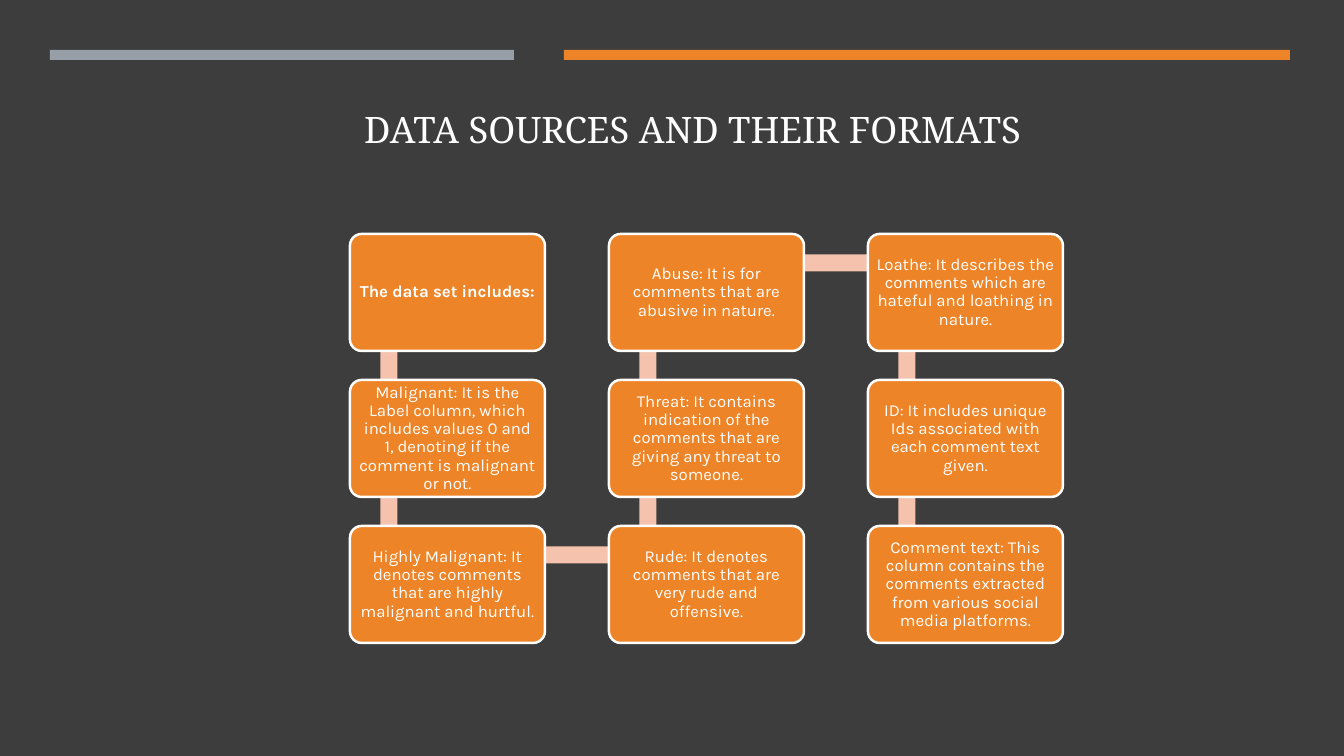
from pptx import Presentation
from pptx.dml.color import RGBColor
from pptx.enum.shapes import MSO_SHAPE
from pptx.enum.text import MSO_ANCHOR, PP_ALIGN
from pptx.util import Pt

TITLE = "DATA SOURCES AND THEIR FORMATS"
FIELDS = [
    "The data set includes:",
    "Malignant: It is the Label column, which includes values 0 and 1, denoting if the comment is malignant or not.",
    "Highly Malignant: It denotes comments that are highly malignant and hurtful.",
    "Rude: It denotes comments that are very rude and offensive.",
    "Threat: It contains indication of the comments that are giving any threat to someone.",
    "Abuse: It is for comments that are abusive in nature.",
    "Loathe: It describes the comments which are hateful and loathing in nature.",
    "ID: It includes unique Ids associated with each comment text given.",
    "Comment text: This column contains the comments extracted from various social media platforms.",
]

CHARCOAL = RGBColor(0x3D, 0x3D, 0x3D)
GREY = RGBColor(0x96, 0x9F, 0xA7)
ORANGE = RGBColor(0xED, 0x84, 0x28)
PEACH = RGBColor(0xF4, 0xC2, 0xAD)
WHITE = RGBColor(0xFF, 0xFF, 0xFF)

PX = 914400 / 100.8
HEADER_BARS = [((50, 50, 464, 10), GREY), ((564, 50, 726, 10), ORANGE)]
ROWS = 3
LEFT, TOP = 350, 234
PITCH_X, PITCH_Y = 259, 146
BOX_W, BOX_H = 195, 117
JOINT_X, JOINT_Y = 39, 29
LINK_W = 17
INSET = 5


def px(*lengths):
    return [round(length * PX) for length in lengths]


def add_block(slide, kind, frame, fill):
    block = slide.shapes.add_shape(kind, *px(*frame))
    block.shadow.inherit = False
    block.fill.solid()
    block.fill.fore_color.rgb = fill
    block.line.fill.background()
    return block


def write(shape, text, font_name, size, bold=False):
    frame = shape.text_frame
    frame.word_wrap = True
    frame.vertical_anchor = MSO_ANCHOR.MIDDLE
    paragraph = frame.paragraphs[0]
    paragraph.text = text
    paragraph.alignment = PP_ALIGN.CENTER
    paragraph.font.name = font_name
    paragraph.font.size = Pt(size)
    paragraph.font.bold = bold
    paragraph.font.color.rgb = WHITE
    return frame, paragraph


def box_corner(index):
    column, step = divmod(index, ROWS)
    row = ROWS - 1 - step if column % 2 else step
    return LEFT + column * PITCH_X, TOP + row * PITCH_Y


def add_link(slide, start, end):
    x, y = min(start[0], end[0]) + JOINT_X, min(start[1], end[1]) + JOINT_Y
    if start[0] == end[0]:
        frame = (x - LINK_W / 2, y, LINK_W, PITCH_Y)
    else:
        frame = (x, y - LINK_W / 2, PITCH_X, LINK_W)
    add_block(slide, MSO_SHAPE.RECTANGLE, frame, PEACH)


def add_field(slide, corner, text, bold):
    box = add_block(slide, MSO_SHAPE.ROUNDED_RECTANGLE, (*corner, BOX_W, BOX_H), ORANGE)
    box.adjustments[0] = 0.1
    box.line.color.rgb = WHITE
    box.line.width = Pt(1.75)
    frame, paragraph = write(box, text, "Karla", 12, bold)
    paragraph.line_spacing = 0.9
    inset, = px(INSET)
    frame.margin_left = frame.margin_right = inset
    frame.margin_top = frame.margin_bottom = inset


def main():
    deck = Presentation()
    deck.slide_width, deck.slide_height = px(1344, 756)
    slide = deck.slides.add_slide(deck.slide_layouts[6])
    slide.background.fill.solid()
    slide.background.fill.fore_color.rgb = CHARCOAL

    title = slide.shapes.add_textbox(*px(118, 78, 1150, 101))
    write(title, TITLE, "Noto Serif", 26)
    for frame, color in HEADER_BARS:
        add_block(slide, MSO_SHAPE.RECTANGLE, frame, color)

    for index, text in enumerate(FIELDS):
        corner = box_corner(index)
        if index + 1 < len(FIELDS):
            add_link(slide, corner, box_corner(index + 1))
        add_field(slide, corner, text, bold=index == 0)

    deck.save("out.pptx")


if __name__ == "__main__":
    main()
